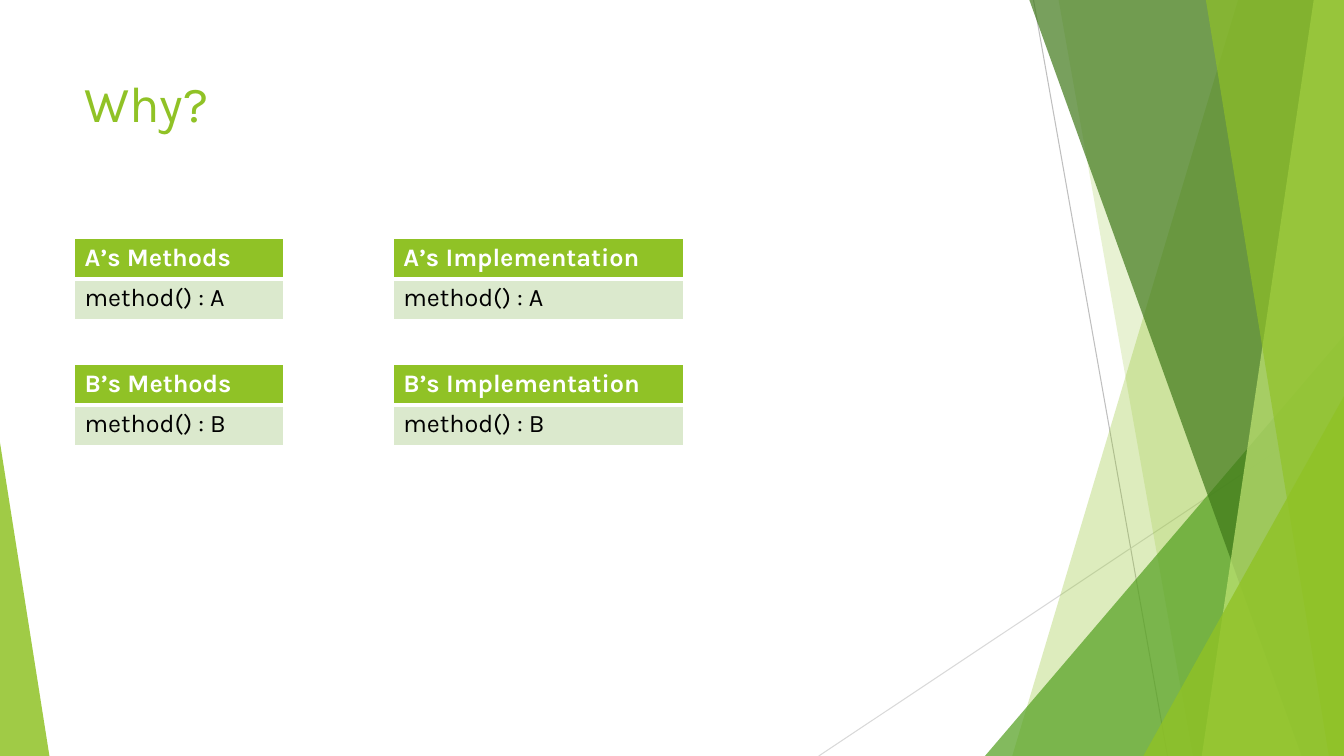
import dataclasses

import pptx
import pptx.dml.color
import pptx.enum.shapes
import pptx.enum.text
import pptx.oxml
import pptx.oxml.ns
import pptx.util

FONT = "Karla"
COLORS = {
    "lime": "90C226",
    "green": "54A021",
    "forest": "3F7819",
    "pale lime": "C0E474",
    "mint": "DBE9CD",
    "gray": "BFBFBF",
    "light gray": "D9D9D9",
    "white": "FFFFFF",
    "black": "000000",
}
HEADER_FORMAT = {"name": FONT, "size": pptx.util.Pt(18), "bold": True}
BODY_FORMAT = {"name": FONT, "size": pptx.util.Pt(18), "bold": False}
TITLE_FORMAT = {"name": FONT, "size": pptx.util.Pt(36), "bold": False}


@dataclasses.dataclass
class Box:
    left: int
    top: int
    width: int
    height: int

    def x(self, percent):
        return round(self.left + self.width * percent / 100)

    def y(self, percent):
        return round(self.top + self.height * percent / 100)

    def region(self, left, top, width, height):
        return Box(self.x(left), self.y(top),
                   round(self.width * width / 100), round(self.height * height / 100))

    def bounds(self):
        return self.left, self.top, self.width, self.height


def rgb(color):
    return pptx.dml.color.RGBColor.from_string(COLORS[color])


def set_attributes(target, values):
    for name, value in values.items():
        setattr(target, name, value)


def write(paragraph, text, color, font_format):
    run = paragraph.add_run()
    run.text = text
    set_attributes(run.font, font_format)
    run.font.color.rgb = rgb(color)


def paint(shape, color, opacity):
    shape.shadow.inherit = False
    shape.line.fill.background()
    shape.fill.solid()
    shape.fill.fore_color.rgb = rgb(color)
    color_element = shape._element.spPr.find(".//" + pptx.oxml.ns.qn("a:srgbClr"))
    alpha = color_element.makeelement(pptx.oxml.ns.qn("a:alpha"), {"val": str(opacity * 1000)})
    color_element.append(alpha)


def add_ray(slide, box, start, end, color):
    connector = slide.shapes.add_connector(
        pptx.enum.shapes.MSO_CONNECTOR.STRAIGHT,
        box.x(start[0]), box.y(start[1]), box.x(end[0]), box.y(end[1]))
    connector.line.color.rgb = rgb(color)
    connector.line.width = pptx.util.Pt(0.75)
    properties = connector._element.spPr
    properties.append(properties.makeelement(pptx.oxml.ns.qn("a:effectLst"), {}))


def add_band(slide, box, top_left, bottom_left, color, opacity):
    builder = slide.shapes.build_freeform(box.x(top_left), box.y(0))
    builder.add_line_segments([
        (box.x(100), box.y(0)), (box.x(100), box.y(100)), (box.x(bottom_left), box.y(100))])
    paint(builder.convert_to_shape(), color, opacity)


def add_corner(slide, box, left, top, width, apex, color, opacity):
    corner = box.region(left, top, width, 100 - top)
    triangle = slide.shapes.add_shape(
        pptx.enum.shapes.MSO_SHAPE.ISOSCELES_TRIANGLE, *corner.bounds())
    triangle.adjustments[0] = apex
    paint(triangle, color, opacity)


def add_facets(slide, box):
    add_ray(slide, box, (76.9, 0), (86.87, 100), "gray")
    add_ray(slide, box, (100, 53.73), (60.92, 100), "light gray")
    facets = [
        (add_band, 92.12, 75.32, "lime", 30),
        (add_band, 78.77, 88.75, "lime", 20),
        (add_corner, 73.29, 44.4, 26.71, 1, "green", 72),
        (add_band, 76.59, 96.85, "forest", 70),
        (add_band, 97.75, 89.42, "pale lime", 70),
        (add_band, 89.72, 98.87, "lime", 65),
        (add_corner, 85.07, 52.4, 14.93, 1, "lime", 80),
        (add_corner, 0, 58.53, 3.68, 0, "lime", 85),
    ]
    for add_facet, *values in facets:
        add_facet(slide, box, *values)


def add_title(slide, box, text):
    frame = slide.shapes.add_textbox(*box.bounds()).text_frame
    set_attributes(frame, {
        "word_wrap": True, "vertical_anchor": pptx.enum.text.MSO_ANCHOR.TOP})
    write(frame.paragraphs[0], text, "lime", TITLE_FORMAT)


def add_borders(cell, widths):
    properties = cell._tc.get_or_add_tcPr()
    for side, width in widths.items():
        properties.append(pptx.oxml.parse_xml(
            f'<a:ln{side} {pptx.oxml.ns.nsdecls("a")} w="{pptx.util.Pt(width)}">'
            f'<a:solidFill><a:srgbClr val="{COLORS["white"]}"/></a:solidFill></a:ln{side}>'))


def add_method_table(slide, box, header, method):
    table = slide.shapes.add_table(2, 1, *box.bounds()).table
    rows = [
        (header, "white", HEADER_FORMAT, "lime", {"L": 1, "R": 1, "T": 1, "B": 3}),
        (method, "black", BODY_FORMAT, "mint", {"L": 1, "R": 1, "T": 3, "B": 1}),
    ]
    for index, (text, color, font_format, fill, borders) in enumerate(rows):
        cell = table.cell(index, 0)
        add_borders(cell, borders)
        cell.fill.solid()
        cell.fill.fore_color.rgb = rgb(fill)
        write(cell.text_frame.paragraphs[0], text, color, font_format)


def add_method_grid(slide, box):
    columns = [("Methods", 5.55, 15.53), ("Implementation", 29.26, 21.61)]
    for heading, left, width in columns:
        for row, name in enumerate("AB"):
            table_box = box.region(left, 31.47 + row * 16.67, width, 10.8)
            add_method_table(slide, table_box, f"{name}’s {heading}", f"method() : {name}")


def main():
    presentation = pptx.Presentation()
    set_attributes(presentation, {
        "slide_width": pptx.util.Inches(13.33), "slide_height": pptx.util.Inches(7.5)})
    slide = presentation.slides.add_slide(presentation.slide_layouts[6])
    page = Box(0, 0, presentation.slide_width, presentation.slide_height)
    add_facets(slide, page)
    add_title(slide, page.region(5.55, 8.93, 70.52, 19.2), "Why?")
    add_method_grid(slide, page)
    presentation.save("out.pptx")


if __name__ == "__main__":
    main()
